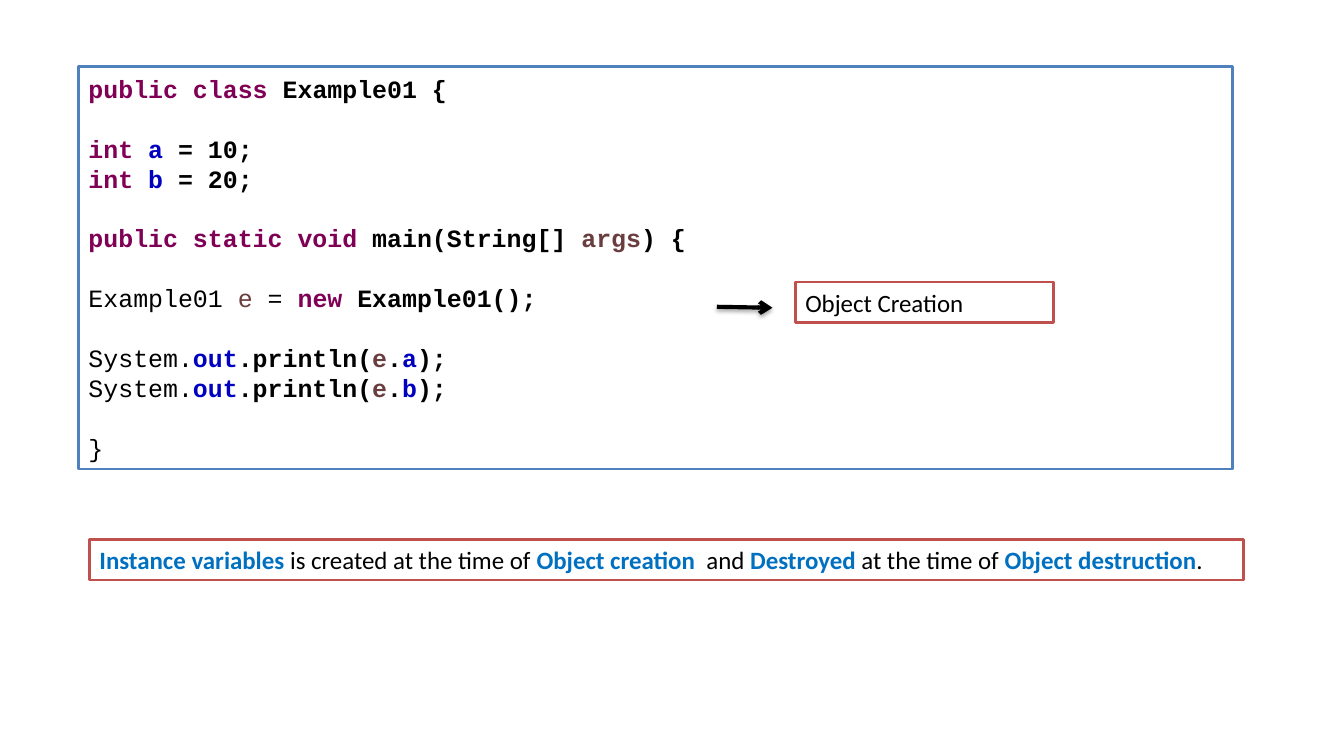
from lxml.etree import SubElement
from pptx import Presentation
from pptx.dml.color import RGBColor
from pptx.enum.shapes import MSO_CONNECTOR, MSO_SHAPE
from pptx.enum.text import MSO_ANCHOR, PP_ALIGN
from pptx.oxml.ns import qn
from pptx.util import Pt

BLACK = "000000"
KEYWORD = "7F0055"
FIELD = "0000C0"
VARIABLE = "6A3E3E"
HIGHLIGHT = "0070C0"
BLUE = "4F81BD"
RED = "C0504D"
LINE_PITCH = 21.6


def color(value):
    """Turn a hex string into a colour."""
    return RGBColor.from_string(value)


def field_line(name, value):
    """Return the runs of one field declaration."""
    return [("int ", KEYWORD, True), (name, FIELD, True), (f" = {value};", BLACK, True)]


def print_line(name):
    """Return the runs of one print statement."""
    return [
        ("System.", BLACK, False), ("out", FIELD, True), (".println(", BLACK, True),
        ("e", VARIABLE, True), (".", BLACK, True), (name, FIELD, True), (");", BLACK, True),
    ]


CODE_BLOCKS = [
    [[("public class", KEYWORD, True), (" Example01 {", BLACK, True)]],
    [field_line("a", 10), field_line("b", 20)],
    [[("public static void", KEYWORD, True), (" main(String[] ", BLACK, True),
      ("args", VARIABLE, True), (") {", BLACK, True)]],
    [[("Example01 ", BLACK, False), ("e", VARIABLE, False), (" = ", BLACK, False),
      ("new", KEYWORD, True), (" Example01();", BLACK, True)]],
    [print_line("a"), print_line("b")],
    [[("}", BLACK, False)]],
]

SUMMARY = [
    ("Instance variables ", HIGHLIGHT, True), ("is created at the time of ", BLACK, False),
    ("Object creation  ", HIGHLIGHT, True), ("and ", BLACK, False),
    ("Destroyed", HIGHLIGHT, True), (" at the time of ", BLACK, False),
    ("Object destruction", HIGHLIGHT, True), (".", BLACK, False),
]


def add_box(slide, left, top, width, height, outline):
    """Add a white outlined rectangle and return its text frame."""
    shape = slide.shapes.add_shape(
        MSO_SHAPE.RECTANGLE, Pt(left), Pt(top), Pt(width), Pt(height))
    shape.shadow.inherit = False
    shape.fill.solid()
    shape.fill.fore_color.rgb = color("FFFFFF")
    shape.line.color.rgb = color(outline)
    shape.line.width = Pt(2)
    shape.text_frame.word_wrap = True
    shape.text_frame.vertical_anchor = MSO_ANCHOR.MIDDLE
    return shape.text_frame


def write_runs(paragraph, runs, font_name):
    """Fill a left-aligned paragraph with coloured runs."""
    paragraph.alignment = PP_ALIGN.LEFT
    for text, run_color, bold in runs:
        run = paragraph.add_run()
        run.text = text
        run.font.name = font_name
        run.font.size = Pt(18)
        run.font.bold = bold
        run.font.color.rgb = color(run_color)


def write_code(text_frame, blocks):
    """Write blocks of code lines with one line of space between blocks."""
    for block_index, block in enumerate(blocks):
        for line_index, runs in enumerate(block):
            first = block_index == 0 and line_index == 0
            paragraph = text_frame.paragraphs[0] if first else text_frame.add_paragraph()
            paragraph.line_spacing = Pt(LINE_PITCH)
            if line_index == 0 and not first:
                paragraph.space_before = Pt(LINE_PITCH)
            write_runs(paragraph, runs, "Courier New")


def add_arrow(slide, start_x, start_y, end_x, end_y):
    """Add a black arrow with a soft shadow below it."""
    arrow = slide.shapes.add_connector(
        MSO_CONNECTOR.STRAIGHT, Pt(start_x), Pt(start_y), Pt(end_x), Pt(end_y))
    arrow.line.color.rgb = color(BLACK)
    arrow.line.width = Pt(3)
    properties = arrow._element.spPr
    SubElement(properties.find(qn("a:ln")), qn("a:tailEnd"), type="arrow")
    effects = SubElement(properties, qn("a:effectLst"))
    shadow = SubElement(
        effects, qn("a:outerShdw"), blurRad=str(Pt(3.1)), dist=str(Pt(1.8)),
        dir="5400000", rotWithShape="0")
    shadow_color = SubElement(shadow, qn("a:srgbClr"), val=BLACK)
    SubElement(shadow_color, qn("a:alpha"), val="35000")


def main():
    """Build and save the slide."""
    presentation = Presentation()
    presentation.slide_width = Pt(972)
    presentation.slide_height = Pt(540)
    slide = presentation.slides.add_slide(presentation.slide_layouts[6])

    write_code(add_box(slide, 56.9, 48.2, 834.5, 290.9, BLUE), CODE_BLOCKS)
    label = add_box(slide, 575.3, 203.8, 186.5, 29.1, RED)
    write_runs(label.paragraphs[0], [("Object Creation", BLACK, False)], "Calibri")
    add_arrow(slide, 518.4, 221.8, 558.7, 222.5)
    summary = add_box(slide, 64.8, 390.2, 834.5, 29.1, RED)
    write_runs(summary.paragraphs[0], SUMMARY, "Calibri")

    presentation.save("out.pptx")


if __name__ == "__main__":
    main()
